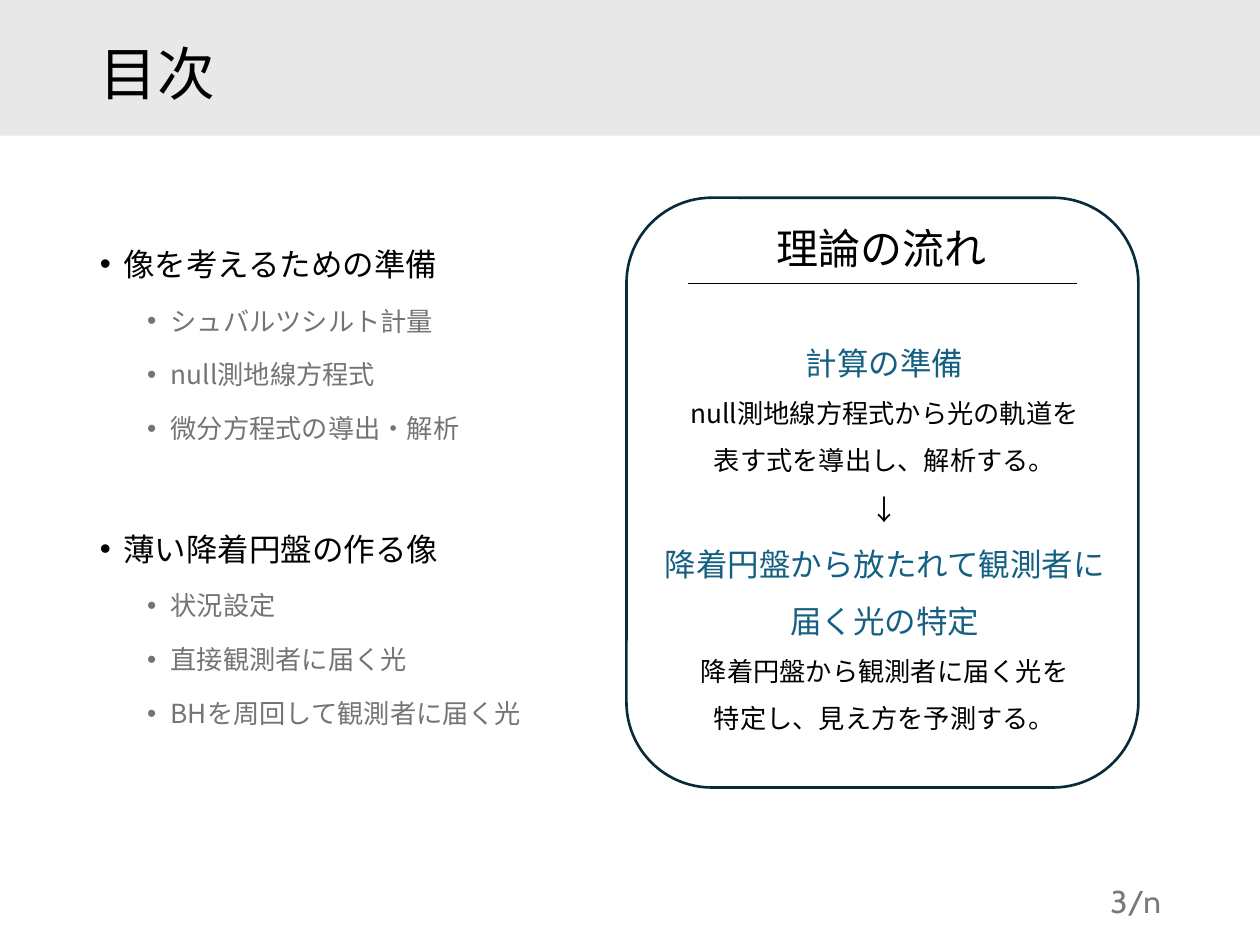
"""Build the table-of-contents slide with a rounded panel on the flow of the theory."""
from lxml import etree
from pptx import Presentation
from pptx.dml.color import RGBColor
from pptx.enum.shapes import MSO_CONNECTOR, MSO_SHAPE
from pptx.enum.text import MSO_ANCHOR, PP_ALIGN
from pptx.oxml.ns import qn
from pptx.util import Pt

RECT, ROUND = MSO_SHAPE.RECTANGLE, MSO_SHAPE.ROUNDED_RECTANGLE
LINE = MSO_CONNECTOR.STRAIGHT
TOP, MIDDLE = MSO_ANCHOR.TOP, MSO_ANCHOR.MIDDLE
LEFT, CENTER, RIGHT = PP_ALIGN.LEFT, PP_ALIGN.CENTER, PP_ALIGN.RIGHT
SANS = "Noto Sans CJK JP"
HEX = {"band": "E8E8E8", "panel": "FFFFFF", "edge": "092A39", "ink": "000000",
       "item": "747474", "page": "797979", "step": "156082"}
RGB = {name: RGBColor.from_string(code) for name, code in HEX.items()}

deck = Presentation()
deck.slide_width, deck.slide_height = Pt(720), Pt(540)
slide = deck.slides.add_slide(deck.slide_layouts[6])
shapes = slide.shapes


def add_text(frame, text, size=15, color="ink", font=SANS, align=LEFT,
             spacing=1.5, before=0, indent=None):
    para = frame.paragraphs[0]
    if para.runs:
        para = frame.add_paragraph()
    para.alignment, para.line_spacing = align, spacing
    para.space_before = Pt(before)
    if indent is not None:
        props = para._p.get_or_add_pPr()
        props.set("marL", str(Pt(indent)))
        props.set("indent", str(Pt(-13.5)))
        etree.SubElement(props, qn("a:buFont")).set("typeface", "Arial")
        etree.SubElement(props, qn("a:buChar")).set("char", "•")
    run = para.add_run()
    run.text = text
    run.font.size, run.font.name = Pt(size), font
    run.font.color.rgb = RGB[color]
    etree.SubElement(run._r.get_or_add_rPr(), qn("a:ea")).set("typeface", font)


def add_box(left, top, width, height, anchor=TOP):
    frame = shapes.add_textbox(Pt(left), Pt(top), Pt(width), Pt(height)).text_frame
    frame.word_wrap, frame.vertical_anchor = True, anchor
    return frame


band = shapes.add_shape(RECT, Pt(0), Pt(0), Pt(720), Pt(77.5))
panel = shapes.add_shape(ROUND, Pt(358), Pt(113), Pt(292.5), Pt(337))
for shape, fill in ((band, "band"), (panel, "panel")):
    shape.shadow.inherit = False
    shape.fill.solid()
    shape.fill.fore_color.rgb = RGB[fill]
band.line.fill.background()
panel.line.color.rgb = RGB["edge"]
panel.line.width = Pt(1.5)

title = add_box(50, 5, 310, 77.5, MIDDLE)
add_text(title, "目次", size=33, spacing=0.9)

topics = (
    ("像を考えるための準備",
     ("シュバルツシルト計量", "null測地線方程式", "微分方程式の導出・解析")),
    ("薄い降着円盤の作る像",
     ("状況設定", "直接観測者に届く光", "BHを周回して観測者に届く光")),
)
agenda = add_box(50, 125.5, 310, 375)
for rank, (topic, items) in enumerate(topics):
    add_text(agenda, topic, size=18, before=38 * rank, indent=13.5)
    for item in items:
        add_text(agenda, item, color="item", before=3.8, indent=40.5)

page = add_box(508.5, 500.5, 162, 29, MIDDLE)
add_text(page, "3/n", size=18, color="page", font="Cabin", align=RIGHT, spacing=1)

head = add_box(436.5, 125.5, 135, 36, MIDDLE)
add_text(head, "理論の流れ", size=24, spacing=0.9)

flow = add_box(371, 182, 269, 297)
for text, size, color in (
    ("計算の準備", 18, "step"),
    ("null測地線方程式から光の軌道を", 15, "ink"),
    ("表す式を導出し、解析する。", 15, "ink"),
    ("↓", 16, "ink"),
    ("降着円盤から放たれて観測者に", 18, "step"),
    ("届く光の特定", 18, "step"),
    ("降着円盤から観測者に届く光を", 15, "ink"),
    ("特定し、見え方を予測する。", 15, "ink"),
):
    add_text(flow, text, size=size, color=color, align=CENTER)

rule = shapes.add_connector(LINE, Pt(393), Pt(162), Pt(615.5), Pt(162))
rule.line.color.rgb = RGB["ink"]
rule.line.width = Pt(1)
etree.SubElement(rule._element.spPr, qn("a:effectLst"))

deck.save("out.pptx")
